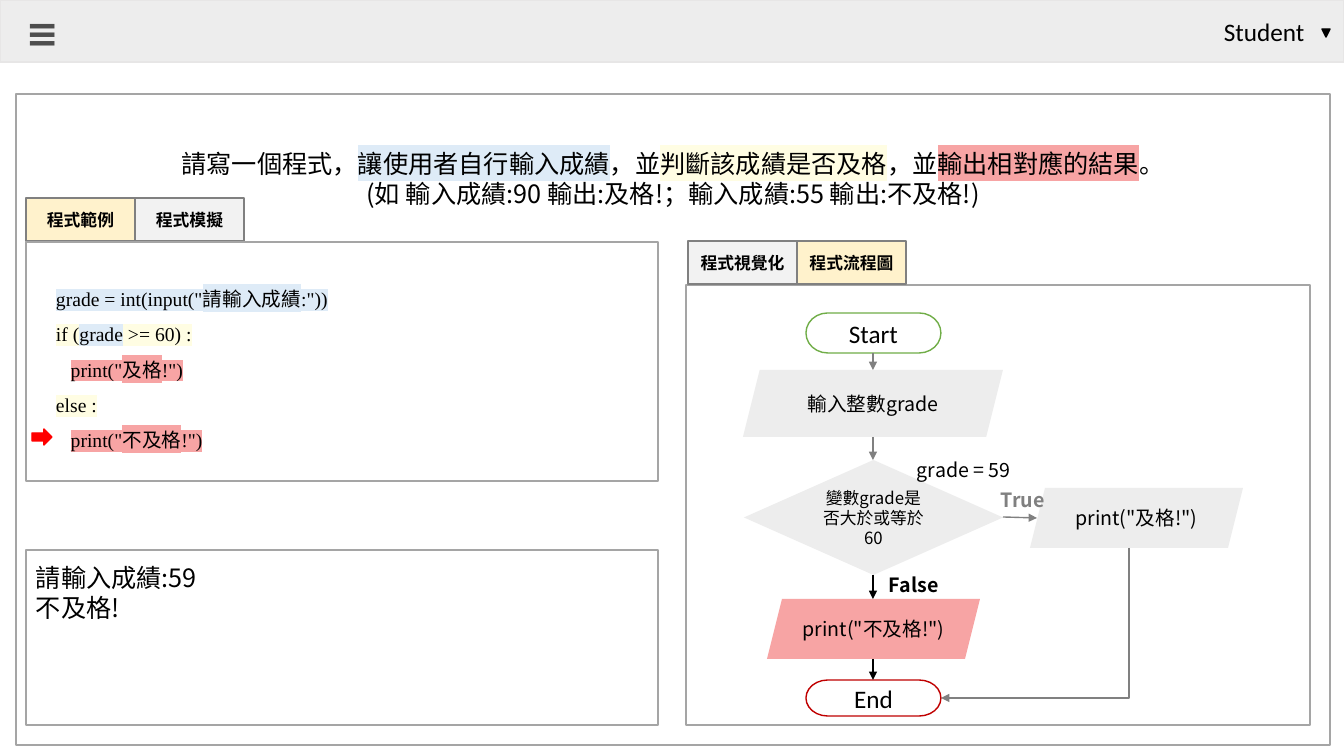
from dataclasses import dataclass

from lxml import etree
from pptx import Presentation
from pptx import util as u
from pptx.dml.color import RGBColor
from pptx.enum import shapes, text
from pptx.oxml.ns import qn

PX = 914400 / 100.8
SHAPE, ALIGN, ANCHOR = shapes.MSO_SHAPE, text.PP_ALIGN, text.MSO_ANCHOR


@dataclass(frozen=True)
class Theme:
    cjk: str = "Noto Sans CJK SC"
    ui: str = "Calibri"
    icon: str = "Roboto"
    code: str = "Times New Roman"
    large: int = 18
    medium: int = 14
    small: int = 12
    menu: int = 28
    leading: float = 1.19
    code_leading: float = 1.8
    black: str = "000000"
    white: str = "FFFFFF"
    bar: str = "EDEDED"
    bar_edge: str = "E7E6E6"
    border: str = "A5A5A5"
    grey: str = "808080"
    icon_grey: str = "4D4D4D"
    tab_on: str = "FFF2CC"
    tab_off: str = "F2F2F2"
    blue: str = "DEEBF7"
    yellow: str = "FFFDE3"
    red: str = "F7A4A4"
    start: str = "70AD47"
    end: str = "C00000"
    pointer: str = "FF0000"


T = Theme()


def px(*lengths):
    return [u.Emu(round(n * PX)) for n in lengths]


def rgb(color):
    return RGBColor.from_string(color)


def add_run(p, words, size, font, color, bold, highlight):
    r = p.add_run()
    r.text = words
    f = r.font
    f.size, f.bold, f.name = u.Pt(size), bold, font
    f.color.rgb = rgb(color)
    rPr = f._element
    ea = etree.Element(qn("a:ea"), typeface=T.cjk)
    rPr.find(qn("a:latin")).addnext(ea)
    if highlight:
        mark = etree.Element(qn("a:highlight"))
        etree.SubElement(mark, qn("a:srgbClr"), val=highlight)
        rPr.find(qn("a:solidFill")).addnext(mark)


def write(sp, lines, size, font=T.cjk, color=T.black, bold=False,
          align=ALIGN.CENTER, anchor=ANCHOR.MIDDLE, leading=T.leading):
    """Fill a shape with lines; each line is a list of (words, highlight) runs."""
    tf = sp.text_frame
    tf.word_wrap, tf.vertical_anchor = True, anchor
    for i, line in enumerate(lines):
        p = tf.paragraphs[0] if i == 0 else tf.add_paragraph()
        p.alignment = align
        if font in (T.cjk, T.code):
            p.line_spacing = u.Pt(round(size * leading, 1))
        for words, highlight in line:
            add_run(p, words, size, font, color, bold, highlight)


def add_box(s, kind, x, y, w, h, fill=T.white, line=None):
    sp = s.shapes.add_shape(kind, *px(x, y, w, h))
    sp.shadow.inherit = False
    sp.fill.solid()
    sp.fill.fore_color.rgb = rgb(fill)
    if line:
        sp.line.color.rgb = rgb(line)
        sp.line.width = u.Pt(1)
    else:
        sp.line.fill.background()
    return sp


def add_label(s, x, y, w, h, words, size, **style):
    sp = s.shapes.add_textbox(*px(x, y, w, h))
    write(sp, [[(words, None)]], size, align=ALIGN.LEFT, anchor=ANCHOR.TOP, **style)
    sp.text_frame.word_wrap = False


def add_arrow(s, x1, y1, x2, y2, color=T.grey, kind=shapes.MSO_CONNECTOR.STRAIGHT):
    cn = s.shapes.add_connector(kind, *px(x1, y1, x2, y2))
    cn.line.color.rgb = rgb(color)
    cn.line.width = u.Pt(1)
    etree.SubElement(cn.line._get_or_add_ln(), qn("a:tailEnd"), type="triangle")
    etree.SubElement(cn._element.spPr, qn("a:effectLst"))
    return cn


def add_corner_arrow(s, x1, y1, x2, y2):
    """Arrow that runs down from its start, then left to its end."""
    w, h = y2 - y1, x1 - x2
    left, top = (x1 + x2 - w) // 2, (y1 + y2 - h) // 2
    cn = add_arrow(s, left, top, left + w, top + h, kind=shapes.MSO_CONNECTOR.ELBOW)
    spPr = cn._element.spPr
    spPr.find(qn("a:xfrm")).set("rot", str(90 * 60000))
    spPr.find(qn("a:prstGeom")).set("prst", "bentConnector2")


def header(s, x, y, w, h):
    add_box(s, SHAPE.RECTANGLE, x, y, w, h, T.bar, T.bar_edge)
    add_label(s, x + w - 130, y + 11, 117, 40, "Student", T.large, font=T.ui)
    marker = add_box(s, SHAPE.ISOSCELES_TRIANGLE, x + w - 22, y + 29, 8, 8, T.black, T.black)
    marker.rotation = 180
    add_label(s, x + 16, y + 3, 49, 57, "≡", T.menu, font=T.icon,
              color=T.icon_grey, bold=True)


def question(s, x, y, w, h):
    sp = add_box(s, SHAPE.RECTANGLE, x, y, w, h, line=T.border)
    sp.text_frame.margin_top, = px(55)
    write(sp, [
        [("請寫一個程式，", None), ("讓使用者自行輸入成績", T.blue), ("，並", None),
         ("判斷該成績是否及格", T.yellow), ("，並", None),
         ("輸出相對應的結果", T.red), ("。", None)],
        [("(如 輸入成績:90 輸出:及格!；輸入成績:55 輸出:不及格!)", None)],
    ], T.large, anchor=ANCHOR.TOP)


def tabs(s, x, y, names, active):
    w, h = 109, 43
    for i, name in enumerate(names):
        fill = T.tab_on if i == active else T.tab_off
        sp = add_box(s, SHAPE.RECTANGLE, x + i * w, y, w, h, fill, T.grey)
        write(sp, [[(name, None)]], T.small, bold=True)


def code_panel(s, x, y, w, h):
    tabs(s, x, y - 44, ["程式範例", "程式模擬"], 0)
    sp = add_box(s, SHAPE.RECTANGLE, x, y, w, h, line=T.border)
    sp.text_frame.margin_left, sp.text_frame.margin_top = px(30, 9)
    write(sp, [
        [('grade = int(input("請輸入成績:"))', T.blue)],
        [("if (", T.yellow), ("grade", T.blue), (" >= 60) :", T.yellow)],
        [("   ", None), ('print("及格!")', T.red)],
        [("else :", T.yellow)],
        [("   ", None), ('print("不及格!")', T.red)],
    ], T.medium, font=T.code, align=ALIGN.LEFT, leading=T.code_leading)
    add_box(s, SHAPE.RIGHT_ARROW, x + 6, y + 187, 20, 16, T.pointer, T.pointer)


def output_panel(s, x, y, w, h):
    sp = add_box(s, SHAPE.RECTANGLE, x, y, w, h, line=T.border)
    sp.text_frame.margin_top, = px(13)
    write(sp, [[("請輸入成績:59", None)], [("不及格!", None)]], T.large,
          align=ALIGN.LEFT, anchor=ANCHOR.TOP)


def flowchart(s, x, y, w, h):
    add_box(s, SHAPE.RECTANGLE, x, y, w, h, line=T.border)
    tabs(s, x + 2, y - 44, ["程式視覺化", "程式流程圖"], 1)
    axis, side = x + 187, x + 450
    nodes = [
        (SHAPE.FLOWCHART_TERMINATOR, axis, 28, 135, 40, T.white, T.start, "Start", T.large, T.ui),
        (SHAPE.PARALLELOGRAM, axis, 85, 260, 67, T.bar, None, "輸入整數grade", T.medium, T.cjk),
        (SHAPE.FLOWCHART_DECISION, axis, 175, 259, 115, T.bar, None,
         "變數grade是否大於或等於60", T.small, T.cjk),
        (SHAPE.PARALLELOGRAM, axis, 314, 213, 60, T.red, None, 'print("不及格!")', T.medium, T.cjk),
        (SHAPE.FLOWCHART_TERMINATOR, axis, 395, 135, 36, T.white, T.end, "End", T.large, T.ui),
        (SHAPE.PARALLELOGRAM, side, 203, 213, 60, T.bar, None, 'print("及格!")', T.medium, T.cjk),
    ]
    for kind, cx, top, nw, nh, fill, line, words, size, font in nodes:
        sp = add_box(s, kind, cx - nw // 2, y + top, nw, nh, fill, line)
        write(sp, [[(words, None)]], size, font=font)
    for start, end, color in [(68, 85, T.grey), (152, 175, T.grey),
                              (290, 314, T.black), (374, 395, T.black)]:
        add_arrow(s, axis, y + start, axis, y + end, color)
    add_arrow(s, axis + 130, y + 232, axis + 164, y + 233)
    add_corner_arrow(s, side - 7, y + 263, axis + 68, y + 413)
    add_label(s, x + 221, y + 168, 162, 34, "grade = 59", T.medium)
    add_label(s, x + 193, y + 283, 101, 34, "False", T.medium, bold=True)
    add_label(s, x + 305, y + 198, 69, 34, "True", T.medium, color=T.grey, bold=True)


def main():
    prs = Presentation()
    prs.slide_width, prs.slide_height = px(1344, 756)
    s = prs.slides.add_slide(prs.slide_layouts[6])
    header(s, 0, 0, 1344, 62)
    question(s, 16, 94, 1314, 651)
    code_panel(s, 26, 242, 632, 239)
    output_panel(s, 26, 550, 632, 175)
    flowchart(s, 686, 285, 624, 440)
    prs.save("out.pptx")


if __name__ == "__main__":
    main()
